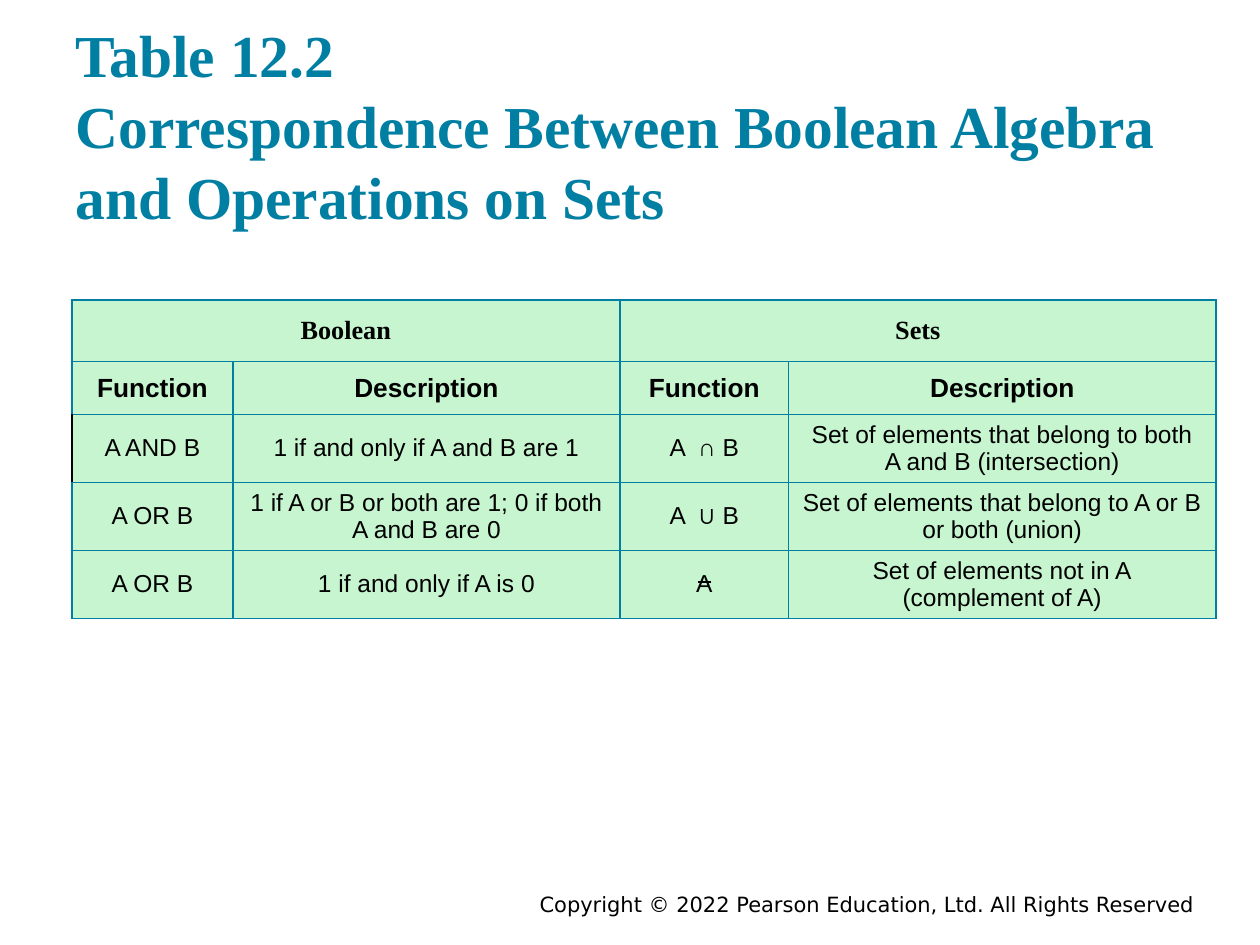
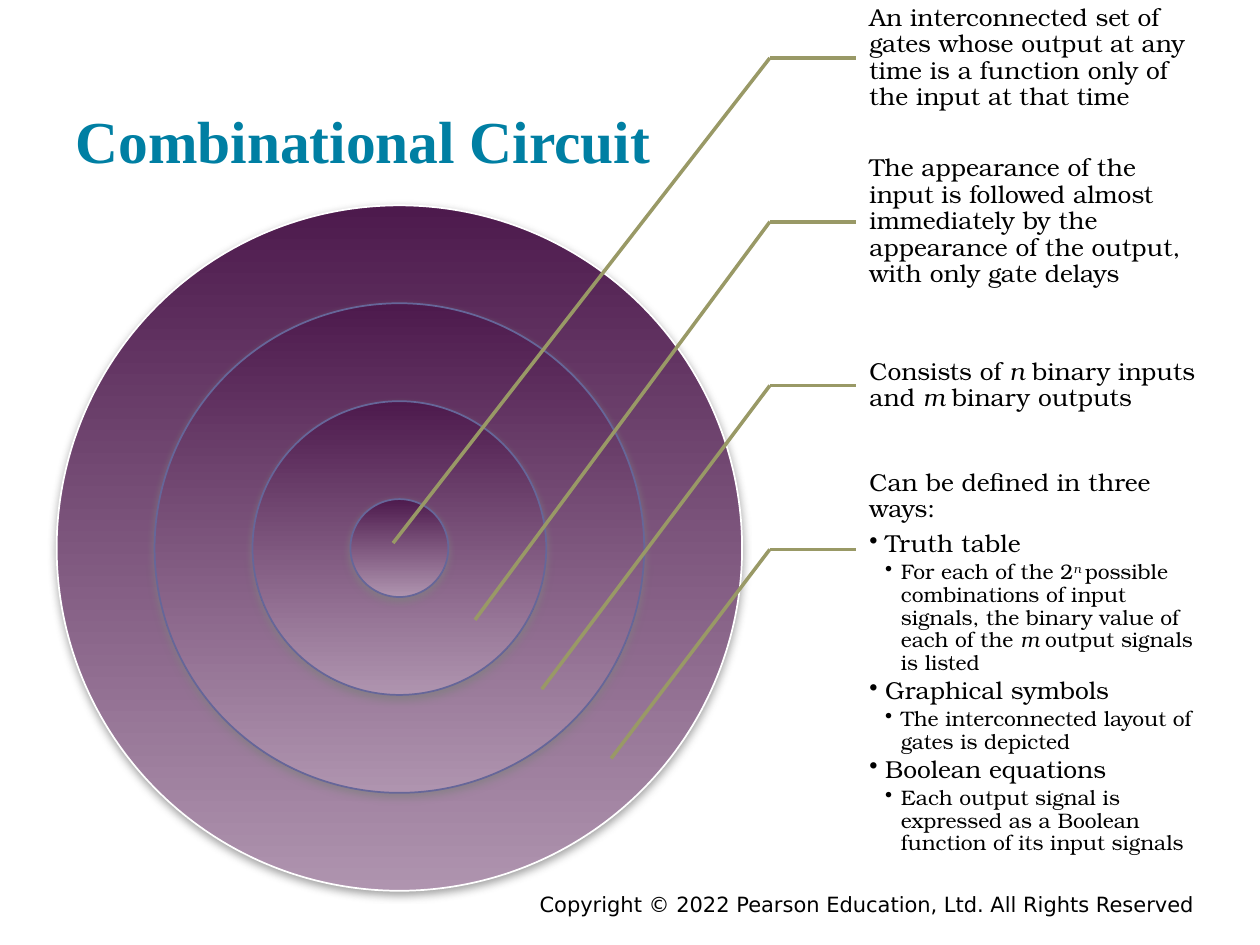
"""Build two slides: a table of Boolean and set operations, and the combinational circuit."""
from lxml import etree
from pptx import Presentation
from pptx.dml.color import RGBColor
from pptx.enum.shapes import MSO_CONNECTOR as Connector, MSO_SHAPE as Shape
from pptx.enum.text import MSO_ANCHOR as Anchor, MSO_AUTO_SIZE as AutoSize, PP_ALIGN as Align
from pptx.oxml import parse_xml
from pptx.oxml.ns import nsdecls, qn
from pptx.util import Pt

TEAL, MINT, BLACK, WHITE = "007FA3", "C6F5CF", "000000", "FFFFFF"
PLUM, LILAC, SLATE, OLIVE = "4D1A4D", "AF94AF", "666699", "999966"
TITLE_FONT, TABLE_FONT = "Times New Roman", "Arial"
CALLOUT_FONT, FOOTER_FONT = "TeX Gyre Bonum", "DejaVu Sans"

presentation = Presentation()
presentation.slide_width, presentation.slide_height = Pt(720), Pt(540)
UNIT = presentation.slide_width / 100


def color(value):
    """Turn a hex string into a colour."""
    return RGBColor.from_string(value)


def grid(*counts):
    """Turn counts of grid units, each 1% of the slide's width, into lengths."""
    return [round(count * UNIT) for count in counts]


titles = [
    ("Table 12.2\vCorrespondence Between Boolean Algebra and Operations on Sets", 1.5, 17.9),
    ("Combinational Circuit", 2.9, 12),
]
for title_text, top, height in titles:
    slide = presentation.slides.add_slide(presentation.slide_layouts[5])
    title = slide.shapes.title
    title.left, title.top, title.width, title.height = grid(5, top, 90, height)
    footer = slide.shapes.add_textbox(*grid(17.5, 70.3, 78.3, 2.2))
    for shape, text, align, anchor, font_name, size, ink, inset in (
        (title, title_text, Align.LEFT, Anchor.BOTTOM, TITLE_FONT, 34, TEAL, 1),
        (footer, "Copyright © 2022 Pearson Education, Ltd. All Rights Reserved",
         Align.RIGHT, Anchor.TOP, FOOTER_FONT, 12, BLACK, 0.5),
    ):
        frame = shape.text_frame
        frame.text = text
        frame.word_wrap, frame.auto_size = True, AutoSize.NONE
        frame.vertical_anchor = anchor
        frame.margin_left, frame.margin_top, frame.margin_right, frame.margin_bottom = grid(1, inset, 1, inset)
        paragraph = frame.paragraphs[0]
        paragraph.alignment = align
        paragraph.font.name, paragraph.font.size = font_name, Pt(size)
        paragraph.font.bold = shape is title
        paragraph.font.color.rgb = color(ink)
table_slide, circuit_slide = presentation.slides
lines = []

rows = [
    ["Boolean", "", "Sets", ""],
    ["Function", "Description", "Function", "Description"],
    ["A AND B", "1 if and only if A and B are 1", "A  ∩ B",
     "Set of elements that belong to both\nA and B (intersection)"],
    ["A OR B", "1 if A or B or both are 1; 0 if both\nA and B are 0", "A  ∪ B",
     "Set of elements that belong to A or B\nor both (union)"],
    ["A OR B", "1 if and only if A is 0", "A", "Set of elements not in A\n(complement of A)"],
]
table = table_slide.shapes.add_table(5, 4, *grid(5.7, 23.8, 90.8, 25.3)).table
table.first_row = table.horz_banding = False
for column, width in zip(table.columns, grid(12.8, 30.7, 13.4, 33.9)):
    column.width = width
for row, height in zip(table.rows, grid(4.9, 4.2, 5.4, 5.4, 5.4)):
    row.height = height
for first in (0, 2):
    table.cell(0, first).merge(table.cell(0, first + 1))
for row_index, texts in enumerate(rows):
    heading = row_index < 2
    for column_index, text in enumerate(texts):
        cell = table.cell(row_index, column_index)
        for side in "LRTB":
            ink = BLACK if (row_index, column_index, side) == (2, 0, "L") else TEAL
            cell._tc.get_or_add_tcPr().append(parse_xml(
                f'<a:ln{side} {nsdecls("a")} w="12700"><a:solidFill>'
                f'<a:srgbClr val="{ink}"/></a:solidFill></a:ln{side}>'))
        cell.fill.solid()
        cell.fill.fore_color.rgb = color(MINT)
        cell.vertical_anchor = Anchor.MIDDLE
        cell.margin_left, cell.margin_right = grid(0.5, 0.5)
        cell.text = text
        for paragraph in cell.text_frame.paragraphs:
            paragraph.alignment = Align.CENTER
            paragraph.font.name = TABLE_FONT if row_index else TITLE_FONT
            paragraph.font.size, paragraph.font.bold = Pt(15 if heading else 14), heading
            paragraph.font.color.rgb = color(BLACK)
complement_bar = table_slide.shapes.add_connector(Connector.STRAIGHT, *grid(55.4, 46.2, 56.4, 46.2))
lines.append((complement_bar, BLACK, 1))

CENTER_X, CENTER_Y, RING = 31.7, 43.5, 54.4 / 7
for rings in (7, 5, 3, 1):
    diameter = rings * RING
    circle = circuit_slide.shapes.add_shape(
        Shape.OVAL, *grid(CENTER_X - diameter / 2, CENTER_Y - diameter / 2, diameter, diameter))
    circle.fill.gradient()
    circle.fill.gradient_angle = 270
    for stop, ink, position in zip(circle.fill.gradient_stops, (PLUM, LILAC), (0, 1)):
        stop.color.rgb, stop.position = color(ink), position
    circle.line.color.rgb = color(WHITE if rings == 7 else SLATE)
    circle.line.width = Pt(1)
    circle.shadow.inherit = False
    circle._element.spPr.find(qn("a:effectLst")).append(parse_xml(
        f'<a:outerShdw {nsdecls("a")} blurRad="63500" dist="25400" dir="5400000" rotWithShape="0">'
        '<a:srgbClr val="808080"><a:alpha val="75000"/></a:srgbClr></a:outerShdw>'))

callouts = [
    (31.2, 43.1, [(0, "An interconnected set of gates whose output at any time is a function "
                      "only of the input at that time")]),
    (37.7, 49.2, [(0, "The appearance of the input is followed almost immediately by the "
                      "appearance of the output, with only gate delays")]),
    (43, 54.7, [(0, "Consists of *n *binary inputs and *m *binary outputs")]),
    (48.5, 60.2, [
        (0, "Can be defined in three ways:"),
        (1, "Truth table"),
        (2, "For each of the 2*^n *possible combinations of input signals, the binary value "
            "of each of the *m *output signals is listed"),
        (1, "Graphical symbols"),
        (2, "The interconnected layout of gates is depicted"),
        (1, "Boolean equations"),
        (2, "Each output signal is expressed as a Boolean function of its input signals"),
    ]),
]
ELBOW_X, TEXT_X, PITCH = 61.1, 67.9, 13
for index, (target_x, target_y, paragraphs) in enumerate(callouts):
    top = index * PITCH - 1.9
    middle = top + PITCH / 2
    box = circuit_slide.shapes.add_textbox(*grid(TEXT_X, top, 27.2, PITCH))
    frame = box.text_frame
    frame.word_wrap = True
    frame.vertical_anchor = Anchor.MIDDLE if len(paragraphs) == 1 else Anchor.TOP
    frame.margin_left, frame.margin_top, frame.margin_right, frame.margin_bottom = grid(1.1, 0.2, 0.2, 0.2)
    for number, (level, text) in enumerate(paragraphs):
        paragraph = frame.add_paragraph() if number else frame.paragraphs[0]
        paragraph.level, paragraph.line_spacing = level, 0.9
        paragraph.space_after = Pt(2 if level else 5)
        if level:
            properties = paragraph._p.get_or_add_pPr()
            indent, = grid(1.25)
            properties.set("marL", str(level * indent))
            properties.set("indent", str(-indent))
            etree.SubElement(properties, qn("a:buChar")).set("char", "•")
        paragraph.font.name, paragraph.font.size = CALLOUT_FONT, Pt(12 if level == 2 else 14)
        paragraph.font.color.rgb = color(BLACK)
        for part_index, part in enumerate(text.split("*")):
            run = paragraph.add_run()
            run.text = part.lstrip("^")
            if part_index % 2:
                run.font.italic = True
            if part.startswith("^"):
                run.font._element.set("baseline", "30000")
    shelf = circuit_slide.shapes.add_connector(Connector.STRAIGHT, *grid(ELBOW_X, middle, TEXT_X, middle))
    shelf.end_connect(box, 1)
    leader = circuit_slide.shapes.add_connector(
        Connector.STRAIGHT, *grid(ELBOW_X, middle, target_x, target_y))
    lines += [(shelf, OLIVE, 2), (leader, OLIVE, 2)]

for line, ink, weight in lines:
    line.line.color.rgb, line.line.width = color(ink), Pt(weight)
    etree.SubElement(line._element.spPr, qn("a:effectLst"))

presentation.save("out.pptx")
